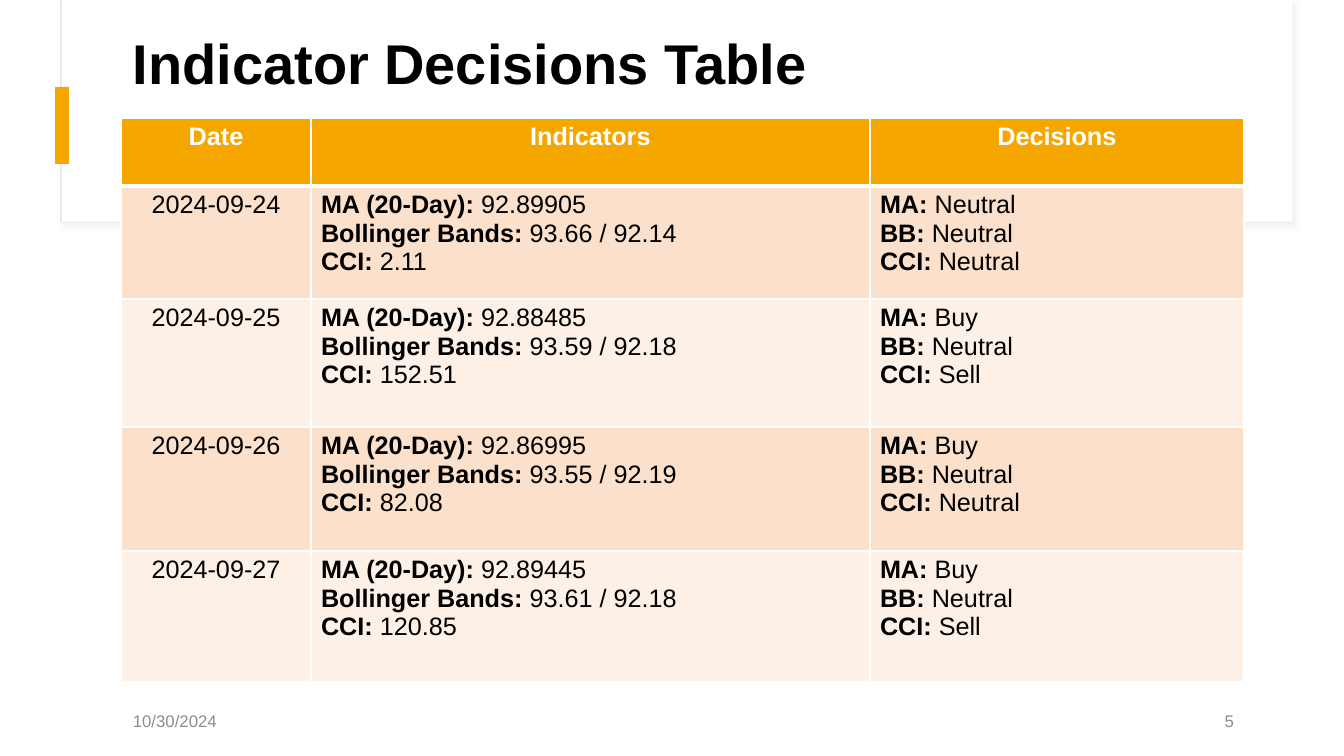
from lxml.etree import SubElement
from pptx import Presentation
from pptx.dml.color import RGBColor
from pptx.enum.shapes import MSO_SHAPE as Preset
from pptx.enum.text import MSO_ANCHOR as Anchor, PP_ALIGN as Align
from pptx.oxml import parse_xml
from pptx.oxml.ns import nsdecls, qn
from pptx.util import Pt

COLORS = {
    "white": "FFFFFF", "black": "000000", "amber": "F5A700", "peach": "FBE1CC",
    "cream": "FDF1E7", "edge": "E9E9E9", "shadow": "D9D9D9", "gray": "8C8C8C",
}
FONT = "Arial"
TITLE = "Indicator Decisions Table"
DATE = "10/30/2024"
PAGE_NUMBER = "5"
HEADERS = ["Date", "Indicators", "Decisions"]
INDICATOR_LABELS = ["MA (20-Day):", "Bollinger Bands:", "CCI:"]
DECISION_LABELS = ["MA:", "BB:", "CCI:"]
DAYS = [
    ("2024-09-24", ["92.89905", "93.66 / 92.14", "2.11"], ["Neutral", "Neutral", "Neutral"]),
    ("2024-09-25", ["92.88485", "93.59 / 92.18", "152.51"], ["Buy", "Neutral", "Sell"]),
    ("2024-09-26", ["92.86995", "93.55 / 92.19", "82.08"], ["Buy", "Neutral", "Neutral"]),
    ("2024-09-27", ["92.89445", "93.61 / 92.18", "120.85"], ["Buy", "Neutral", "Sell"]),
]
COLUMN_WIDTHS = [190, 559, 374]
ROW_HEIGHTS = [68, 113, 128, 124, 131]
EMU_PER_PX = 914400 / 100.8


def px(length):
    return round(length * EMU_PER_PX)


def rgb(name):
    return RGBColor.from_string(COLORS[name])


def add_panel(page, place, fill, line=None):
    panel = page.shapes.add_shape(Preset.RECTANGLE, *map(px, place))
    panel.shadow.inherit = False
    panel.fill.solid()
    panel.fill.fore_color.rgb = rgb(fill)
    if line:
        panel.line.color.rgb = rgb(line)
        panel.line.width = Pt(0.75)
    else:
        panel.line.fill.background()
    return panel


def add_shadow(panel):
    effects = panel._element.spPr.find(qn("a:effectLst"))
    shadow = SubElement(effects, qn("a:outerShdw"), blurRad=str(Pt(4)),
                        dist=str(Pt(3)), dir=str(45 * 60000))
    color = SubElement(shadow, qn("a:srgbClr"), val=COLORS["shadow"])
    SubElement(color, qn("a:alpha"), val="30000")


def write(frame, lines, size, color, align=Align.LEFT):
    for index, spans in enumerate(lines):
        para = frame.paragraphs[0] if index == 0 else frame.add_paragraph()
        para.alignment = align
        for text, bold in spans:
            span = para.add_run()
            span.text = text
            span.font.name = FONT
            span.font.size = Pt(size)
            span.font.bold = bold
            span.font.color.rgb = rgb(color)


def add_text(page, place, text, size, color, bold=False, align=Align.LEFT):
    box = page.shapes.add_textbox(*map(px, place))
    frame = box.text_frame
    frame.word_wrap = True
    frame.vertical_anchor = Anchor.MIDDLE
    write(frame, [[(text, bold)]], size, color, align)
    return frame


def set_borders(cell, top, bottom):
    widths = {"lnL": 1, "lnR": 1, "lnT": top, "lnB": bottom}
    for index, (side, width) in enumerate(widths.items()):
        border = parse_xml(
            f'<a:{side} {nsdecls("a")} w="{Pt(width)}"><a:solidFill>'
            f'<a:srgbClr val="{COLORS["white"]}"/></a:solidFill></a:{side}>')
        cell._tc.get_or_add_tcPr().insert(index, border)


def labelled(labels, values):
    return [[(label, True), (f" {value}", False)] for label, value in zip(labels, values)]


def add_decisions_table(page):
    rows = [[[[(header, True)]] for header in HEADERS]]
    for date, readings, decisions in DAYS:
        rows.append([[[(date, False)]], labelled(INDICATOR_LABELS, readings),
                     labelled(DECISION_LABELS, decisions)])
    size = px(sum(COLUMN_WIDTHS)), px(sum(ROW_HEIGHTS))
    table = page.shapes.add_table(len(rows), len(HEADERS), px(121), px(118), *size).table
    for column, width in zip(table.columns, COLUMN_WIDTHS):
        column.width = px(width)
    for row, height in zip(table.rows, ROW_HEIGHTS):
        row.height = px(height)
    for r, row in enumerate(rows):
        fill = "amber" if r == 0 else ("cream", "peach")[r % 2]
        for c, lines in enumerate(row):
            cell = table.cell(r, c)
            cell.fill.solid()
            cell.fill.fore_color.rgb = rgb(fill)
            set_borders(cell, 3 if r == 1 else 1, 3 if r == 0 else 1)
            align = Align.CENTER if r == 0 or c == 0 else Align.LEFT
            write(cell.text_frame, lines, 18, "white" if r == 0 else "black", align)


def main():
    deck = Presentation()
    deck.slide_width, deck.slide_height = px(1344), px(756)
    page = deck.slides.add_slide(deck.slide_layouts[6])
    add_shadow(add_panel(page, (61, 0, 1231, 223), "white", "edge"))
    add_panel(page, (62, 0, 1230, 222), "white")
    add_panel(page, (55, 87, 14, 77), "amber")
    title = add_text(page, (123, 16, 1121, 101), TITLE, 40, "black", bold=True)
    title.paragraphs[0].line_spacing = 0.9
    add_text(page, (123, 701, 302, 40), DATE, 12, "gray")
    add_text(page, (942, 701, 302, 40), PAGE_NUMBER, 12, "gray", align=Align.RIGHT)
    add_decisions_table(page)
    deck.save("out.pptx")


if __name__ == "__main__":
    main()
